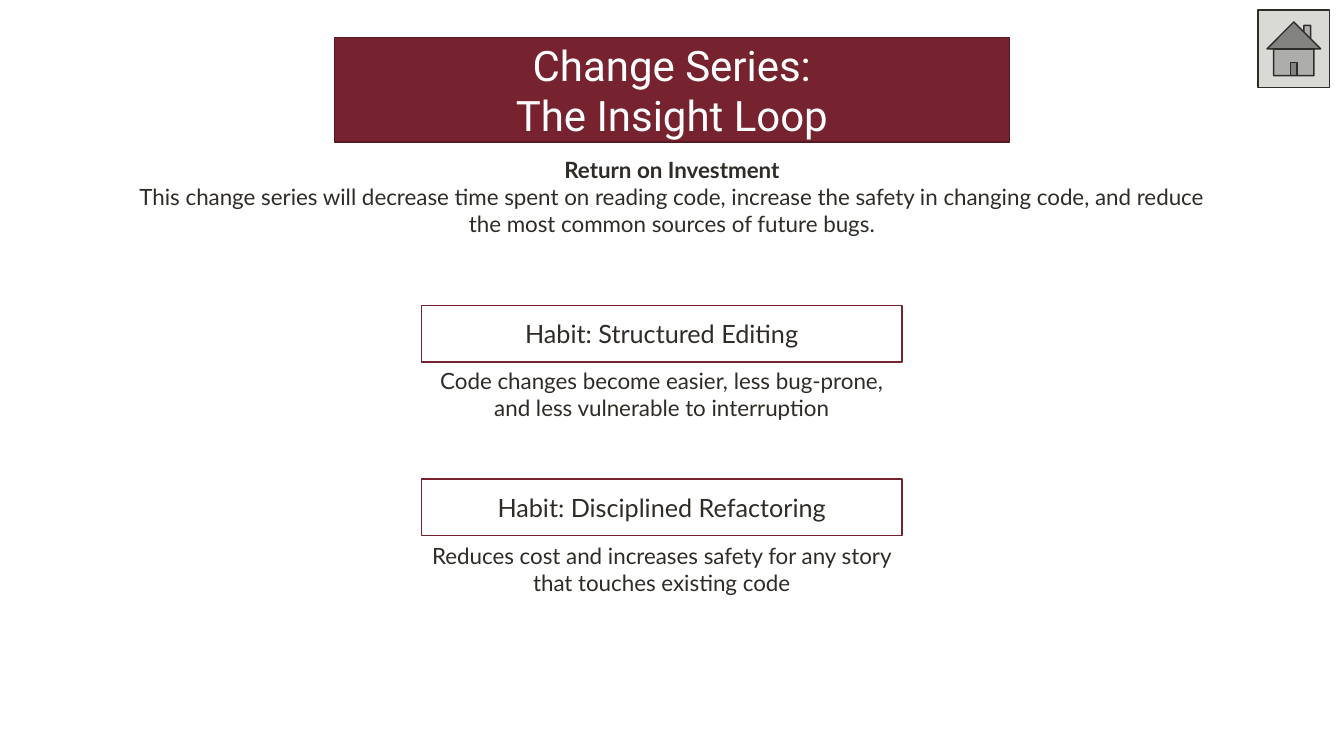
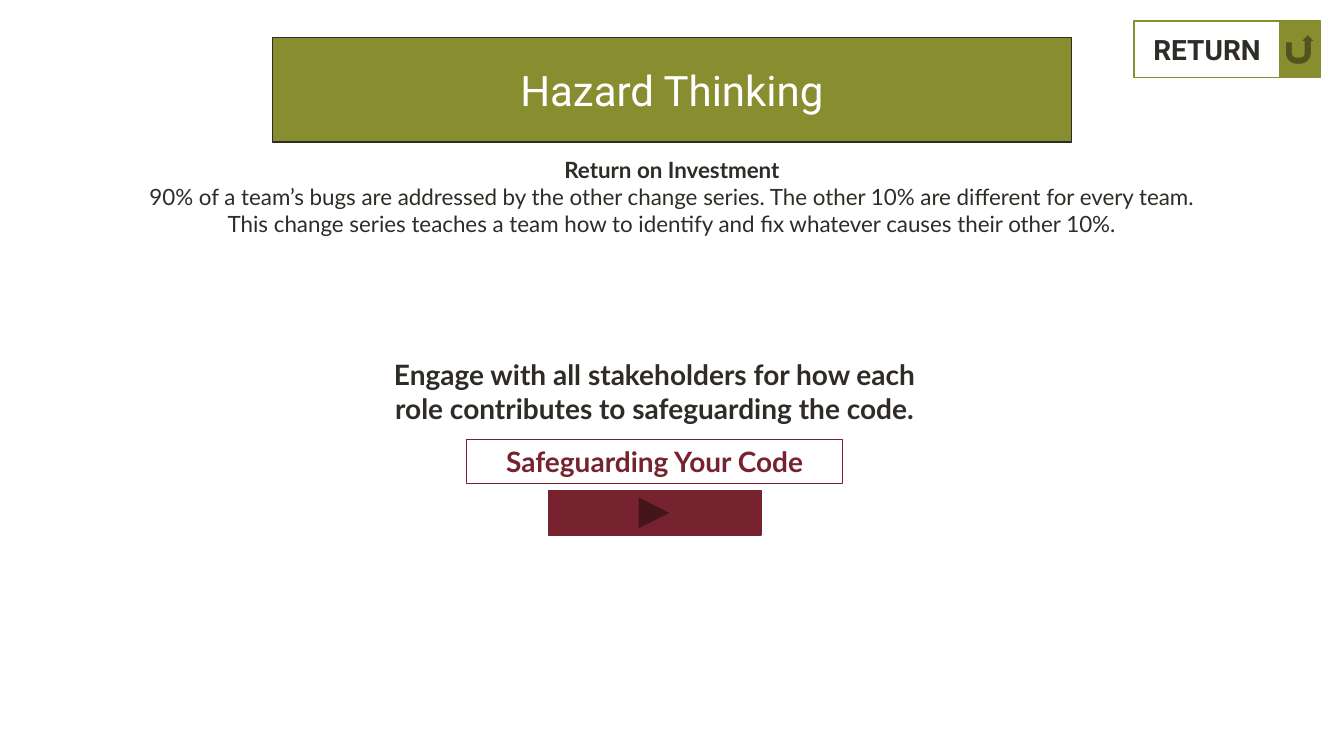
from pptx import Presentation
from pptx.dml.color import RGBColor
from pptx.enum.shapes import MSO_SHAPE
from pptx.enum.text import MSO_ANCHOR, MSO_AUTO_SIZE, PP_ALIGN
from pptx.util import Pt

PAGE_WIDTH, PAGE_HEIGHT = 960, 540
TITLE_ONLY = 5

COLORS = {
    "wine": "76232F",
    "dark_wine": "571A23",
    "olive": "888D30",
    "ink": "2F2C27",
    "stone": "D9D9D6",
    "white": "FFFFFF",
}

TEXT_STYLES = {
    "title": {"name": "Roboto", "size": Pt(30), "bold": False},
    "return": {"name": "Roboto", "size": Pt(20), "bold": True},
    "body": {"name": "Lato", "size": Pt(16), "bold": False},
    "body_bold": {"name": "Lato", "size": Pt(16), "bold": True},
    "habit": {"name": "Lato", "size": Pt(18), "bold": False},
    "callout": {"name": "Lato", "size": Pt(20), "bold": True},
}


def rgb(color):
    return RGBColor.from_string(COLORS[color])


def place(shape, box):
    """Move a shape to a (left, top, width, height) box in points."""
    for name, value in zip(("left", "top", "width", "height"), box):
        setattr(shape, name, Pt(value))


def paint(shape, fill, line, line_width=1):
    if fill:
        shape.fill.solid()
        shape.fill.fore_color.rgb = rgb(fill)
    else:
        shape.fill.background()
    shape.line.color.rgb = rgb(line)
    shape.line.width = Pt(line_width)


def write(shape, lines, color="ink", anchor=MSO_ANCHOR.MIDDLE):
    """Write (text, style) pairs as centred paragraphs."""
    frame = shape.text_frame
    frame_format = {
        "word_wrap": True,
        "auto_size": MSO_AUTO_SIZE.NONE,
        "vertical_anchor": anchor,
        "margin_left": Pt(7.2),
        "margin_right": Pt(7.2),
        "margin_top": Pt(3.6),
        "margin_bottom": Pt(3.6),
    }
    for name, value in frame_format.items():
        setattr(frame, name, value)
    for index, (text, style) in enumerate(lines):
        para = frame.add_paragraph() if index else frame.paragraphs[0]
        para.alignment = PP_ALIGN.CENTER
        span = para.add_run()
        span.text = text
        for name, value in TEXT_STYLES[style].items():
            setattr(span.font, name, value)
        span.font.color.rgb = rgb(color)


def add_panel(page, box, fill, line, kind=MSO_SHAPE.RECTANGLE, line_width=1):
    panel = page.shapes.add_shape(kind, *map(Pt, box))
    panel.shadow.inherit = False
    paint(panel, fill, line, line_width)
    return panel


def add_text(page, box, lines):
    write(page.shapes.add_textbox(*map(Pt, box)), lines, anchor=MSO_ANCHOR.TOP)


def add_page(deck, title_lines, title_width, fill, line, benefit):
    """Add a slide with a centred title band and its return on investment."""
    page = deck.slides.add_slide(deck.slide_layouts[TITLE_ONLY])
    title = page.shapes.title
    place(title, ((PAGE_WIDTH - title_width) / 2, 26.6, title_width, 75))
    paint(title, fill, line)
    write(title, [(text, "title") for text in title_lines], "white")
    add_text(page, (91.5, 108, 777, 65.5),
             [("Return on Investment", "body_bold"), (benefit, "body")])
    return page


def add_habit(page, box, name, caption, caption_gap):
    """Add a framed habit name that fills the box, with a caption below."""
    left, top, width, height = box
    write(add_panel(page, box, None, "wine"), [(name, "habit")])
    add_text(page, (left, top + height + caption_gap, width, 46),
             [(caption, "body")])


def add_return_button(page, box):
    left, top, width, height = box
    icon_width = 28.8
    label_width = width - icon_width
    label = add_panel(page, (left, top, label_width, height), None, "olive")
    write(label, [("RETURN", "return")])
    add_panel(page, (left + label_width, top, icon_width, height),
              "olive", "olive", MSO_SHAPE.ACTION_BUTTON_RETURN)


def add_invitation(page, box):
    """Stack a message, a framed name and a play button, centred in the box."""
    left, top, width, height = box
    bar_height = 31.7
    name_width, button_width = 268.6, 152
    button_top = top + height - bar_height
    add_text(page, (left, top, width, 55.4), [(
        "Engage with all stakeholders for how each role contributes to "
        "safeguarding the code.", "callout")])
    add_panel(page, (left + (width - button_width) / 2, button_top,
                     button_width, bar_height),
              "wine", "wine", MSO_SHAPE.ACTION_BUTTON_FORWARD_OR_NEXT)
    name = add_panel(page, (left + (width - name_width) / 2, top + 62,
                            name_width, bar_height),
                     "white", "wine", line_width=0.75)
    write(name, [("Safeguarding Your Code", "callout")], "wine")


def build_insight_loop(deck):
    page = add_page(
        deck, ["Change Series:", "The Insight Loop"], 482.4, "wine", "dark_wine",
        "This change series will decrease time spent on reading code, increase "
        "the safety in changing code, and reduce the most common sources of "
        "future bugs.")
    add_panel(page, (898.6, 7.2, 51.1, 55.4), "stone", "ink",
              MSO_SHAPE.ACTION_BUTTON_HOME)
    habits = [
        ("Habit: Structured Editing",
         "Code changes become easier, less bug-prone, and less vulnerable to "
         "interruption", 0),
        ("Habit: Disciplined Refactoring",
         "Reduces cost and increases safety for any story that touches "
         "existing code", 1.5),
    ]
    for index, habit in enumerate(habits):
        add_habit(page, (301, 218.2 + index * 124, 343.4, 40.3), *habit)


def build_hazard_thinking(deck):
    page = add_page(
        deck, ["Hazard Thinking"], 571, "olive", "ink",
        "90% of a team’s bugs are addressed by the other change series. The "
        "other 10% are different for every team. This change series teaches a "
        "team how to identify and fix whatever causes their other 10%.")
    add_return_button(page, (810, 15.1, 133.2, 40.3))
    add_invitation(page, (262, 252, 411.2, 130.3))


def main():
    deck = Presentation()
    deck.slide_width, deck.slide_height = Pt(PAGE_WIDTH), Pt(PAGE_HEIGHT)
    build_insight_loop(deck)
    build_hazard_thinking(deck)
    deck.save("out.pptx")


if __name__ == "__main__":
    main()
